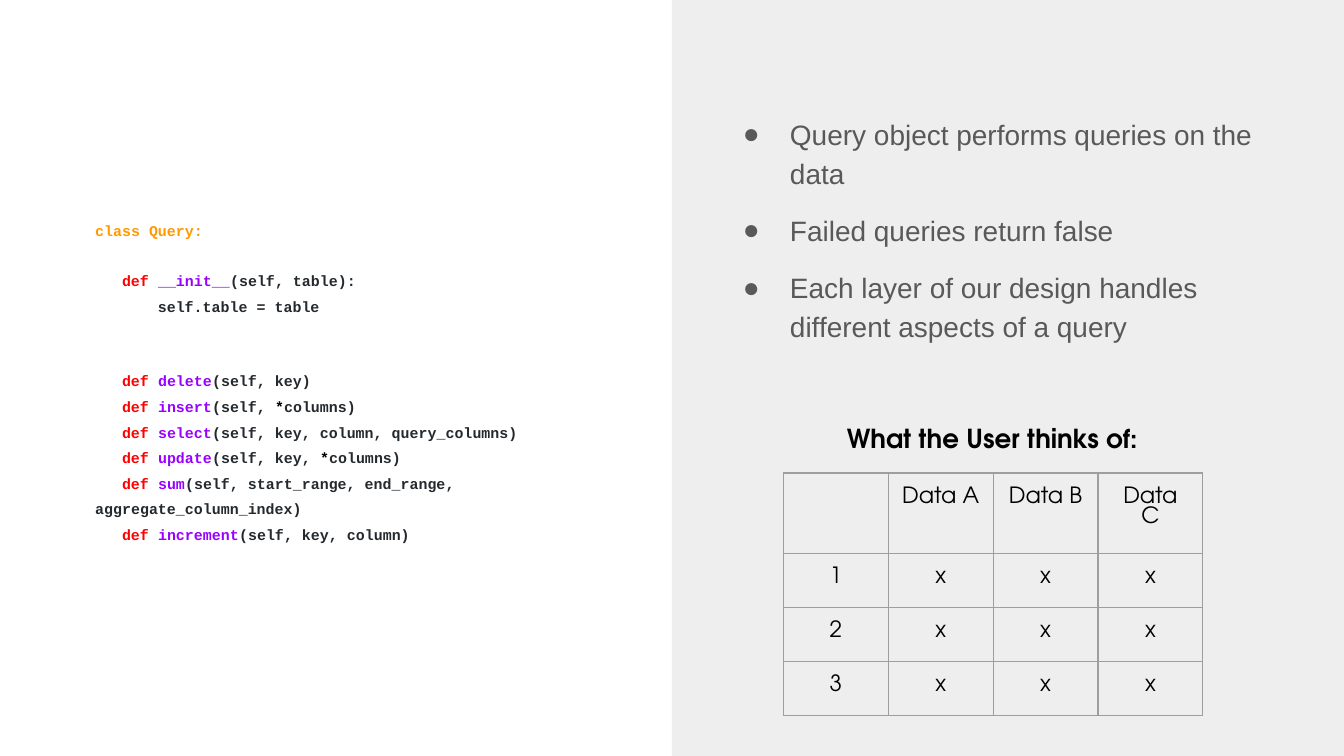
from lxml import etree
from pptx import Presentation
from pptx.dml.color import RGBColor
from pptx.enum.shapes import MSO_SHAPE
from pptx.enum.text import MSO_ANCHOR, PP_ALIGN
from pptx.oxml.ns import qn
from pptx.util import Inches, Pt

BLACK, GRAY, CODE = "000000", "595959", "24292E"
ORANGE, RED, PURPLE = "FF9900", "FF0000", "9900FF"
HEADING_FONT = "TeX Gyre Adventor"


def add_run(paragraph, text, font, size, color, bold=False):
    run = paragraph.add_run()
    run.text = text
    run.font.name = font
    run.font.size = Pt(size)
    run.font.bold = bold
    run.font.color.rgb = RGBColor.from_string(color)


def add_text_frame(slide, left, top, width, height):
    """Add a wrapping text box with equal insets and return its text frame."""
    text_box = slide.shapes.add_textbox(
        Inches(left), Inches(top), Inches(width), Inches(height))
    frame = text_box.text_frame
    frame.word_wrap = True
    frame.margin_left = frame.margin_right = Inches(0.1)
    frame.margin_top = frame.margin_bottom = Inches(0.1)
    return frame


# Widescreen slide, 16:9
presentation = Presentation()
presentation.slide_width = Inches(10)
presentation.slide_height = Inches(10) * 9 // 16
slide = presentation.slides.add_slide(presentation.slide_layouts[6])

# Right-hand panel
panel = slide.shapes.add_shape(
    MSO_SHAPE.RECTANGLE, Inches(5), Inches(0), Inches(5), presentation.slide_height)
panel.shadow.inherit = False
panel.fill.solid()
panel.fill.fore_color.rgb = RGBColor.from_string("EEEEEE")
panel.line.fill.background()

# Bulleted notes
notes = [
    "Query object performs queries on the data",
    "Failed queries return false",
    "Each layer of our design handles different aspects of a query",
]
frame = add_text_frame(slide, 5.28, 0.51, 4.2, 2.37)
frame.vertical_anchor = MSO_ANCHOR.MIDDLE
for index, note in enumerate(notes):
    paragraph = frame.paragraphs[0] if index == 0 else frame.add_paragraph()
    paragraph.line_spacing = 1.15
    paragraph.space_before = Pt(10 if index else 0)
    paragraph.space_after = Pt(10 if index == len(notes) - 1 else 0)
    properties = paragraph._p.get_or_add_pPr()
    properties.set("marL", str(Inches(0.5)))
    properties.set("indent", str(Inches(-0.35)))
    bullet_color = etree.SubElement(properties, qn("a:buClr"))
    etree.SubElement(bullet_color, qn("a:srgbClr"), val=GRAY)
    etree.SubElement(properties, qn("a:buFont"), typeface="Arial")
    etree.SubElement(properties, qn("a:buChar"), char="●")
    add_run(paragraph, note, "Arial", 15, GRAY)

# Code: indent in characters, blank lines above, coloured pieces
code_lines = [
    (0, 0, [("class Query:", ORANGE)]),
    (3, 1, [("def ", RED), ("__init__", PURPLE), ("(self, table):", CODE)]),
    (7, 0, [("self.table = table", CODE)]),
]
methods = [
    ("delete", "(self, key)"),
    ("insert", "(self, *columns)"),
    ("select", "(self, key, column, query_columns)"),
    ("update", "(self, key, *columns)"),
    ("sum", "(self, start_range, end_range, aggregate_column_index)"),
    ("increment", "(self, key, column)"),
]
for index, (name, arguments) in enumerate(methods):
    before, star, after = arguments.partition("*")
    pieces = [("def ", RED), (name, PURPLE), (before, CODE), (star, BLACK), (after, CODE)]
    code_lines.append((3, 0 if index else 2, pieces))

frame = add_text_frame(slide, 0.61, 1.49, 3.74, 2.65)
for index, (indent, blank_lines, pieces) in enumerate(code_lines):
    paragraph = frame.paragraphs[0] if index == 0 else frame.add_paragraph()
    paragraph.line_spacing = 1.43
    paragraph.space_before = Pt(13.2 * blank_lines)
    paragraph._p.get_or_add_pPr().set("indent", str(Pt(4.8 * indent)))
    for text, color in pieces:
        if text:
            add_run(paragraph, text, "Courier New", 8, color, bold=True)

# Table
rows = [["", "Data A", "Data B", "Data C"]]
rows += [[str(number), "x", "x", "x"] for number in range(1, 4)]
table = slide.shapes.add_table(
    4, 4, Inches(5.83), Inches(3.52), Inches(3.12), Inches(1.8)).table
table.first_row = False
table.horz_banding = False
for column in table.columns:
    column.width = Inches(0.78)
for row_index, values in enumerate(rows):
    table.rows[row_index].height = Inches(0.4 if row_index else 0.6)
    for column_index, value in enumerate(values):
        cell = table.cell(row_index, column_index)
        cell.margin_left = cell.margin_right = Inches(0.1)
        cell.margin_top = cell.margin_bottom = Inches(0.1)
        properties = cell._tc.get_or_add_tcPr()
        for side in ("a:lnL", "a:lnR", "a:lnT", "a:lnB"):
            border = etree.SubElement(properties, qn(side), w=str(Pt(0.75)))
            border_fill = etree.SubElement(border, qn("a:solidFill"))
            etree.SubElement(border_fill, qn("a:srgbClr"), val="9E9E9E")
        cell.fill.background()
        if value:
            paragraph = cell.text_frame.paragraphs[0]
            paragraph.alignment = PP_ALIGN.CENTER
            add_run(paragraph, value, HEADING_FONT, 12, BLACK)

# Table heading
paragraph = add_text_frame(slide, 5.97, 3.04, 2.83, 0.44).paragraphs[0]
paragraph.alignment = PP_ALIGN.CENTER
paragraph.space_after = Pt(10)
add_run(paragraph, "What the User thinks of:", HEADING_FONT, 14, BLACK, bold=True)

presentation.save("out.pptx")
